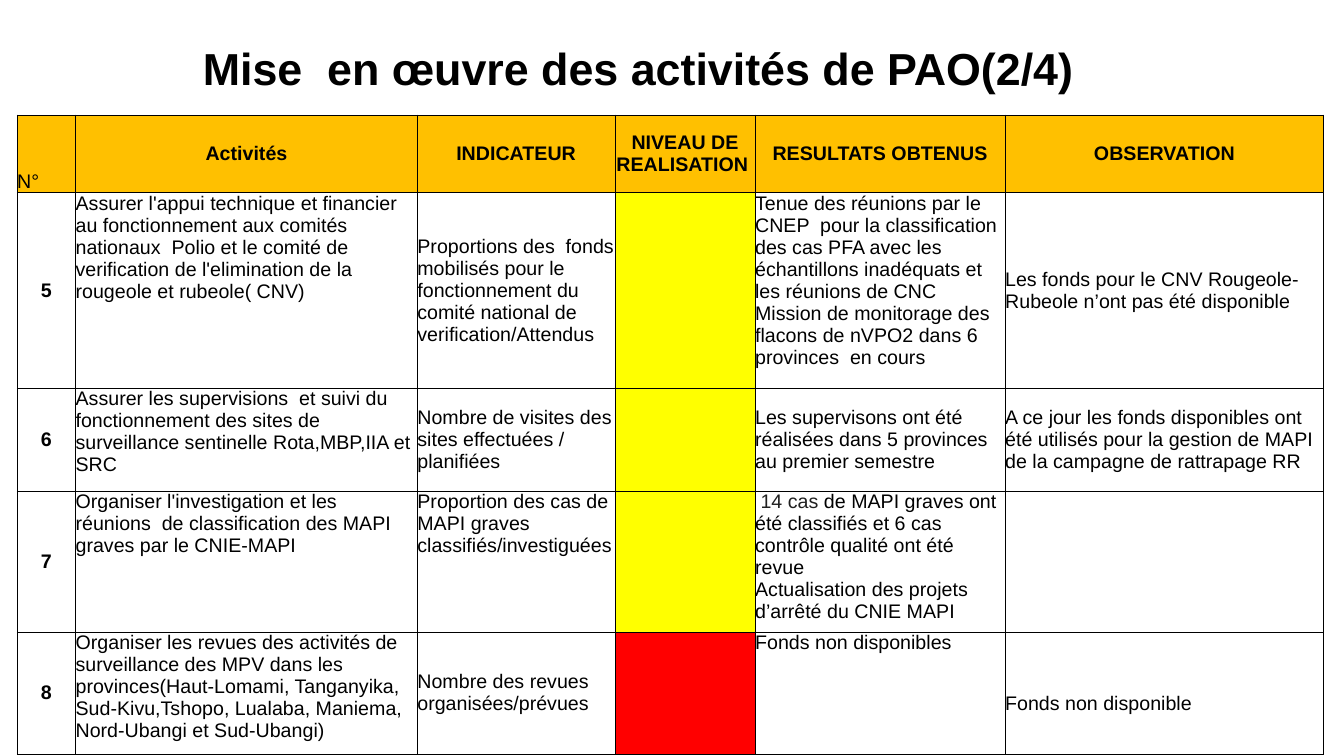
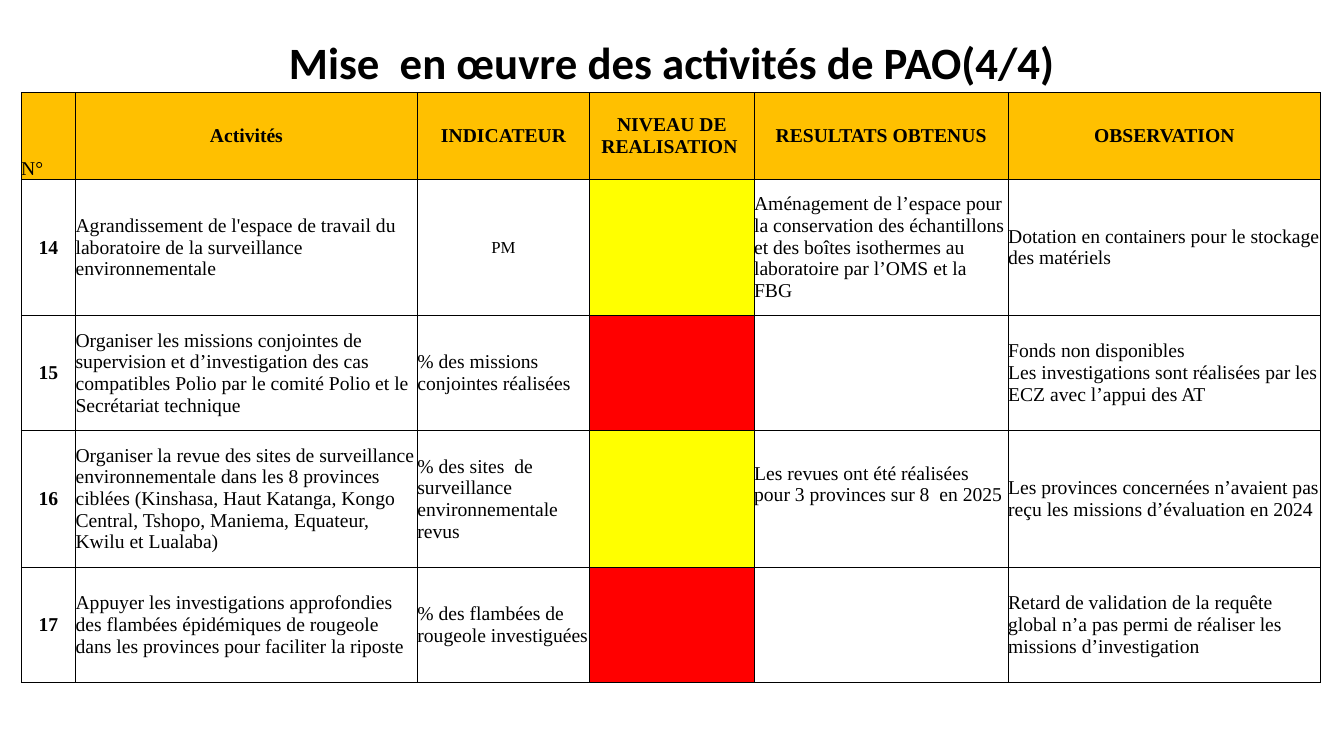
from lxml import etree
from pptx import Presentation
from pptx.dml.color import RGBColor
from pptx.enum.text import MSO_ANCHOR, PP_ALIGN
from pptx.oxml.ns import qn
from pptx.util import Inches, Pt

TOP, MIDDLE, BOTTOM = MSO_ANCHOR.TOP, MSO_ANCHOR.MIDDLE, MSO_ANCHOR.BOTTOM
LEFT, CENTER = PP_ALIGN.LEFT, PP_ALIGN.CENTER

BLACK = RGBColor(0x00, 0x00, 0x00)
CHARCOAL = RGBColor(0x20, 0x20, 0x20)
WHITE = RGBColor(0xFF, 0xFF, 0xFF)
GOLD = RGBColor(0xFF, 0xC0, 0x00)
YELLOW = RGBColor(0xFF, 0xFF, 0x00)
RED = RGBColor(0xFF, 0x00, 0x00)

BORDER_WIDTH = Pt(0.5)
TITLE_HEIGHT = 0.69
NUMBER, ACTIVITY, INDICATOR, LEVEL, RESULTS, OBSERVATION = range(6)
HEADERS = ("N°", "Activités", "INDICATEUR", "NIVEAU DE REALISATION ",
           "RESULTATS OBTENUS", "OBSERVATION")
GREY_LEAD = " 14 cas "

# Cell positions below are (table row, column); row 0 is the header.
PAGES = [
    {
        "title": "Mise  en œuvre des activités de PAO(2/4)",
        "title_font": "Arial", "title_top": 0.36, "title_width": 12.67,
        "font": "Arial", "left": 0.17, "top": 1.14,
        "columns": (0.58, 3.39, 1.96, 1.39, 2.48, 3.16),
        "heights": (0.77, 1.94, 1.02, 1.4, 1.21),
        "top_cells": {(1, ACTIVITY), (2, ACTIVITY), (3, ACTIVITY),
                      (4, ACTIVITY), (3, INDICATOR), (1, RESULTS),
                      (3, RESULTS), (4, RESULTS)},
        "top_margins": {(4, OBSERVATION): 0.21},
        "bottom_margins": {},
        "rows": [
            ("5",
             "Assurer l'appui technique et financier au fonctionnement aux "
             "comités nationaux  Polio et le comité de verification de "
             "l'elimination de la rougeole et rubeole( CNV)",
             "Proportions des  fonds mobilisés pour le fonctionnement du "
             "comité national de verification/Attendus",
             YELLOW,
             "Tenue des réunions par le CNEP  pour la classification des cas "
             "PFA avec les échantillons inadéquats et les réunions de CNC\n"
             "Mission de monitorage des flacons de nVPO2 dans 6 provinces  "
             "en cours",
             "Les fonds pour le CNV Rougeole-Rubeole n’ont pas été disponible"),
            ("6",
             "Assurer les supervisions  et suivi du fonctionnement des sites "
             "de surveillance sentinelle Rota,MBP,IIA et SRC",
             "Nombre de visites des sites effectuées / planifiées",
             YELLOW,
             "Les supervisons ont été réalisées dans 5 provinces au premier "
             "semestre",
             "A ce jour les fonds disponibles ont été utilisés pour la "
             "gestion de MAPI de la campagne de rattrapage RR"),
            ("7",
             "Organiser l'investigation et les réunions  de classification "
             "des MAPI graves par le CNIE-MAPI",
             "Proportion des cas de MAPI graves classifiés/investiguées",
             YELLOW,
             GREY_LEAD + "de MAPI graves ont été classifiés et 6 cas contrôle "
             "qualité ont été revue\n"
             "Actualisation des projets d’arrêté du CNIE MAPI",
             ""),
            ("8",
             "Organiser les revues des activités de surveillance des MPV dans "
             "les provinces(Haut-Lomami, Tanganyika, Sud-Kivu,Tshopo, "
             "Lualaba, Maniema, Nord-Ubangi et Sud-Ubangi)",
             "Nombre des revues organisées/prévues",
             RED,
             "Fonds non disponibles",
             "Fonds non disponible"),
        ],
    },
    {
        "title": "Mise  en œuvre des activités de PAO(4/4)",
        "title_font": "Calibri", "title_top": 0.3, "title_width": 13.33,
        "font": "Times New Roman", "left": 0.21, "top": 0.92,
        "columns": (0.54, 3.39, 1.71, 1.63, 2.52, 3.1),
        "heights": (0.86, 1.35, 1.14, 1.36, 1.14),
        "top_cells": set(),
        "top_margins": {},
        "bottom_margins": {(3, RESULTS): 0.29},
        "rows": [
            ("14",
             "Agrandissement de l'espace de travail du laboratoire de la "
             "surveillance environnementale",
             "PM",
             YELLOW,
             "Aménagement de l’espace pour la conservation des échantillons "
             "et des boîtes isothermes au laboratoire par l’OMS et la FBG",
             "Dotation en containers pour le stockage des matériels"),
            ("15",
             "Organiser les missions conjointes de supervision et "
             "d’investigation des cas compatibles Polio par le comité Polio "
             "et le Secrétariat technique",
             "% des missions conjointes réalisées",
             RED,
             "",
             "Fonds non disponibles\n"
             "Les investigations sont réalisées par les ECZ avec l’appui des AT"),
            ("16",
             "Organiser la revue des sites de surveillance environnementale "
             "dans les 8 provinces ciblées (Kinshasa, Haut Katanga, Kongo "
             "Central, Tshopo, Maniema, Equateur, Kwilu et Lualaba)",
             "% des sites  de surveillance environnementale revus",
             YELLOW,
             "Les revues ont été réalisées pour 3 provinces sur 8  en 2025",
             "Les provinces concernées n’avaient pas reçu les missions "
             "d’évaluation en 2024"),
            ("17",
             "Appuyer les investigations approfondies des flambées "
             "épidémiques de rougeole dans les provinces pour faciliter la "
             "riposte",
             "% des flambées de rougeole investiguées",
             RED,
             "",
             "Retard de validation de la requête global n’a pas permi de "
             "réaliser les missions d’investigation"),
        ],
    },
]


def style_span(span, font, size, bold, color=BLACK):
    span.font.name = font
    span.font.size = Pt(size)
    span.font.bold = bold
    span.font.color.rgb = color


def add_title(page, content):
    box = page.shapes.add_textbox(
        Inches(0), Inches(content["title_top"]),
        Inches(content["title_width"]), Inches(TITLE_HEIGHT))
    frame = box.text_frame
    frame.word_wrap = True
    frame.vertical_anchor = MIDDLE
    frame.text = content["title"]
    para = frame.paragraphs[0]
    para.alignment = CENTER
    para.line_spacing = 0.9
    style_span(para.runs[0], content["title_font"], 32, True)


def add_borders(cell):
    """Draw the four cell borders; they must precede the fill in tcPr."""
    properties = cell._tc.get_or_add_tcPr()
    for index, side in enumerate(("lnL", "lnR", "lnT", "lnB")):
        line = etree.Element(qn("a:" + side), w=str(BORDER_WIDTH))
        fill = etree.SubElement(line, qn("a:solidFill"))
        etree.SubElement(fill, qn("a:srgbClr"), val=str(BLACK))
        properties.insert(index, line)


def write_cell(cell, text, font, size, bold, alignment):
    cell.text_frame.text = text
    for para in cell.text_frame.paragraphs:
        para.alignment = alignment
        if para.text.startswith(GREY_LEAD):
            rest = para.text[len(GREY_LEAD):]
            para.text = GREY_LEAD
            para.add_run().text = rest
        for span in para.runs:
            color = CHARCOAL if span.text == GREY_LEAD else BLACK
            style_span(span, font, size, bold, color)


def fill_cell(cell, value, position, content):
    row, column = position
    header = row == 0
    cell.margin_left = cell.margin_right = 0
    cell.margin_top = Inches(content["top_margins"].get(position, 0))
    cell.margin_bottom = Inches(content["bottom_margins"].get(position, 0))
    if header and column == NUMBER:
        cell.vertical_anchor = BOTTOM
    else:
        cell.vertical_anchor = TOP if position in content["top_cells"] else MIDDLE

    level = column == LEVEL and not header
    cell.fill.solid()
    cell.fill.fore_color.rgb = GOLD if header else value if level else WHITE
    add_borders(cell)
    if level or not value:
        return
    bold = header != (column == NUMBER)
    small = value == "PM"
    write_cell(cell, value, content["font"], 12 if small else 14, bold,
               CENTER if bold or small else LEFT)


def add_activity_table(page, content):
    columns, heights = content["columns"], content["heights"]
    table = page.shapes.add_table(
        len(heights), len(columns), Inches(content["left"]),
        Inches(content["top"]), Inches(sum(columns)), Inches(sum(heights))).table
    table.first_row = False
    table.horz_banding = False
    for column, width in zip(table.columns, columns):
        column.width = Inches(width)
    for row, height in zip(table.rows, heights):
        row.height = Inches(height)
    for row, values in enumerate([HEADERS] + content["rows"]):
        for column, value in enumerate(values):
            fill_cell(table.cell(row, column), value, (row, column), content)


def main():
    deck = Presentation()
    deck.slide_width = Inches(13.33)
    deck.slide_height = Inches(7.5)
    for content in PAGES:
        page = deck.slides.add_slide(deck.slide_layouts[6])
        add_title(page, content)
        add_activity_table(page, content)
    deck.save("out.pptx")


if __name__ == "__main__":
    main()
